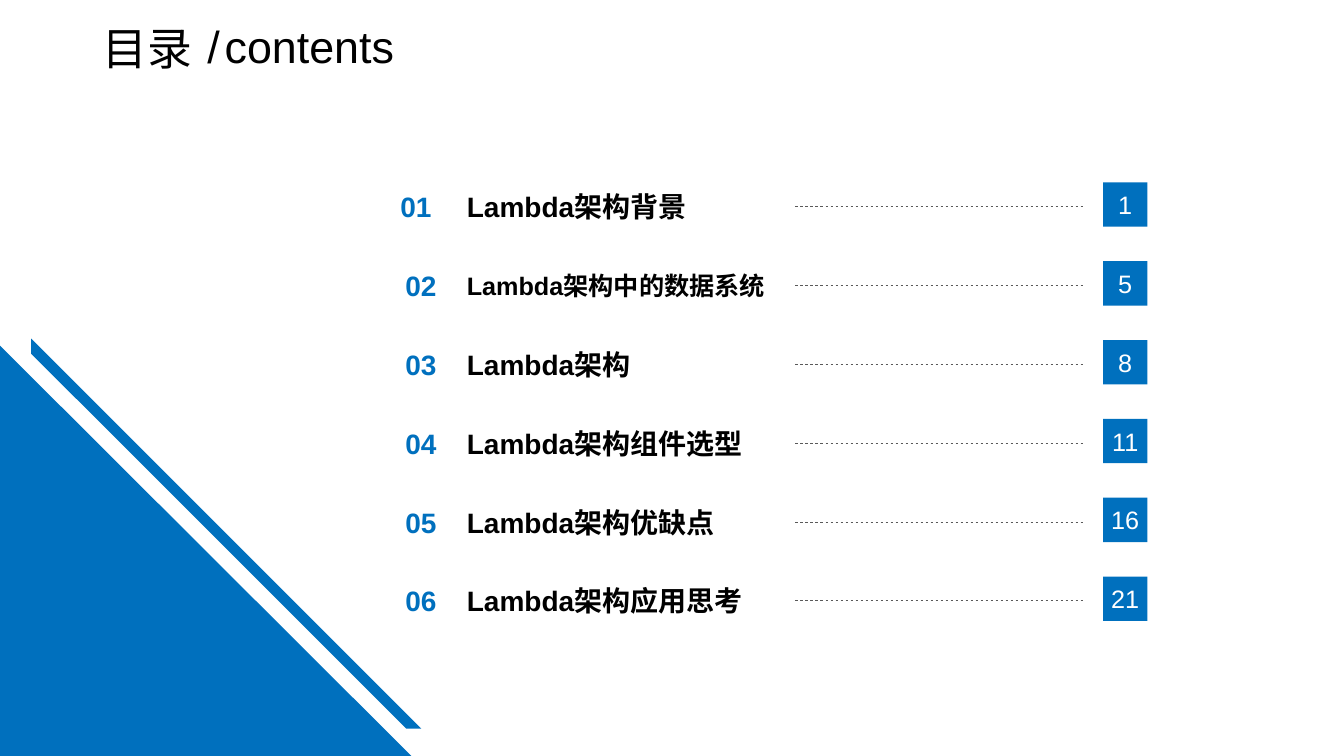
from lxml.etree import SubElement
from pptx import Presentation
from pptx.dml.color import RGBColor
from pptx.enum.dml import MSO_LINE
from pptx.enum.shapes import MSO_CONNECTOR, MSO_SHAPE
from pptx.enum.text import MSO_ANCHOR, PP_ALIGN
from pptx.oxml.ns import qn
from pptx.util import Emu, Pt

SCALE = 9144
BLUE, BLACK, WHITE, GREY = "0070BE", "000000", "FFFFFF", "595959"
ROW_TOP, ROW_PITCH, ROW_HEIGHT = 183, 78.2, 44

TITLE_PARTS = [("目录", 92, 122, 102), ("/", 196, 46, 98), ("contents", 213, 200, 98)]
CHAPTERS = [
    ("Lambda架构背景", 20, 1),
    ("Lambda架构中的数据系统", 18, 5),
    ("Lambda架构", 20, 8),
    ("Lambda架构组件选型", 20, 11),
    ("Lambda架构优缺点", 20, 16),
    ("Lambda架构应用思考", 20, 21),
]
TRIANGLE = [(0, 343), (408, 750), (0, 750)]
STRIPE = [(31, 336), (418, 723), (403, 723), (31, 351)]


def px(length):
    return Emu(round(length * SCALE))


def paint(target, color):
    target.solid()
    target.fore_color.rgb = RGBColor.from_string(color)


def write(box, text, size=20, color=BLACK, bold=False, align=PP_ALIGN.LEFT,
          spacing=1.0, inset=(0, 0)):
    frame = box.text_frame
    frame.word_wrap = True
    frame.vertical_anchor = MSO_ANCHOR.MIDDLE
    frame.margin_left = frame.margin_right = px(inset[0])
    frame.margin_top = frame.margin_bottom = px(inset[1])
    para = frame.paragraphs[0]
    para.alignment = align
    para.line_spacing = spacing
    span = para.add_run()
    span.text = text
    span.font.name = "Arial"
    span.font.size = Pt(size)
    span.font.bold = bold
    paint(span.font.fill, color)


def add_text(page, text, left, top, width, height, **style):
    box = page.shapes.add_textbox(px(left), px(top), px(width), px(height))
    write(box, text, **style)


def style_flat(shape):
    shape.shadow.inherit = False
    paint(shape.fill, BLUE)
    shape.line.fill.background()


def add_corner(page):
    builder = page.shapes.build_freeform(*TRIANGLE[0], scale=SCALE)
    builder.add_line_segments(TRIANGLE[1:], close=True)
    builder.move_to(*STRIPE[0])
    builder.add_line_segments(STRIPE[1:], close=True)
    style_flat(builder.convert_to_shape())


def add_leader(page, left, right, y):
    leader = page.shapes.add_connector(
        MSO_CONNECTOR.STRAIGHT, px(left), px(y), px(right), px(y))
    paint(leader.line.fill, GREY)
    leader.line.width = Pt(0.5)
    leader.line.dash_style = MSO_LINE.DASH
    SubElement(leader._element.spPr, qn("a:effectLst"))


def add_page_number(page, number, left, top):
    box = page.shapes.add_shape(
        MSO_SHAPE.RECTANGLE, px(left), px(top), px(44), px(44))
    style_flat(box)
    write(box, str(number), size=18, color=WHITE, align=PP_ALIGN.CENTER)


def add_chapter(page, index, name, size, number):
    top = ROW_TOP + index * ROW_PITCH
    number_left = 397 if index == 0 else 402
    add_text(page, name, 463, top, 325, ROW_HEIGHT, size=size, bold=True)
    add_leader(page, 789, 1076, top + 22)
    add_page_number(page, number, 1094, top - 2)
    add_text(page, f"{index + 1:02}", number_left, top, 445 - number_left,
             ROW_HEIGHT, color=BLUE, bold=True)


def main():
    deck = Presentation()
    deck.slide_width, deck.slide_height = px(1333), px(750)
    page = deck.slides.add_slide(deck.slide_layouts[6])
    add_corner(page)
    for text, left, width, height in TITLE_PARTS:
        add_text(page, text, left, 0, width, height, size=32, spacing=0.9,
                 inset=(10, 5))
    for index, chapter in enumerate(CHAPTERS):
        add_chapter(page, index, *chapter)
    deck.save("out.pptx")


if __name__ == "__main__":
    main()
